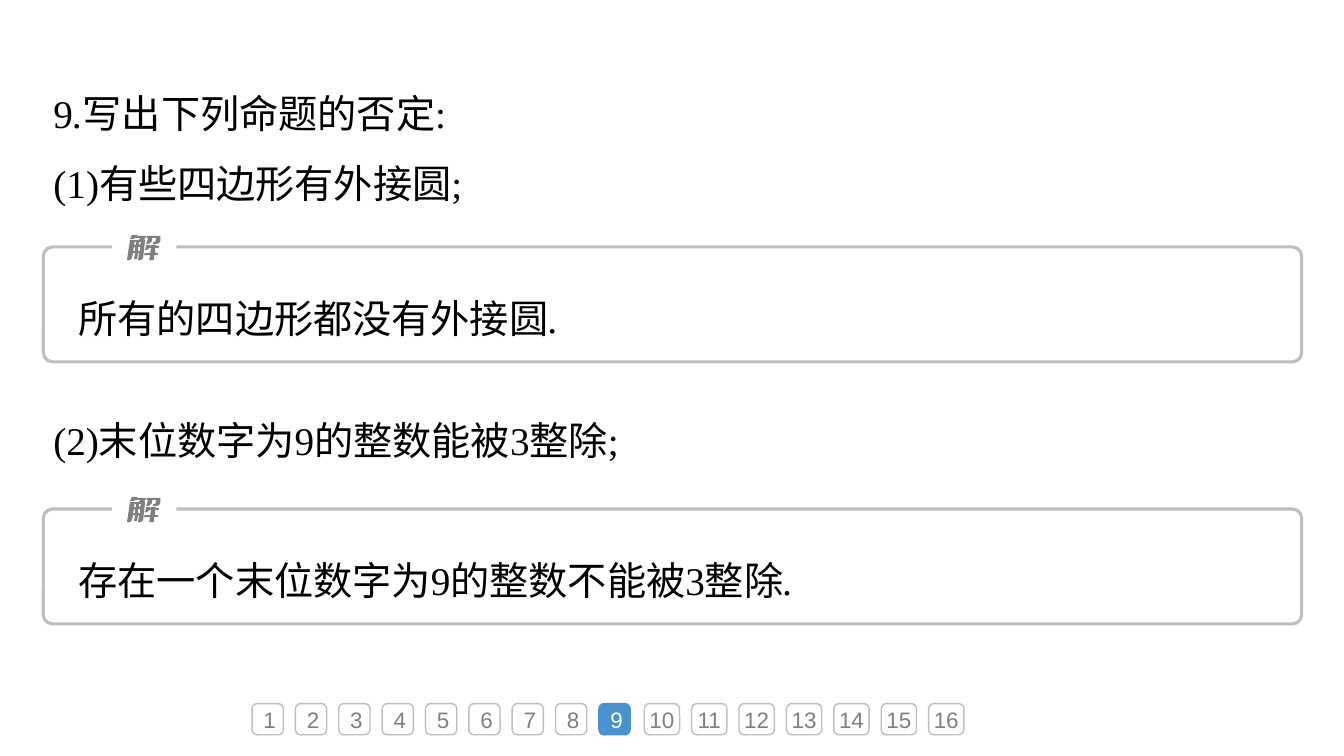
from dataclasses import dataclass

from pptx import Presentation
from pptx.dml.color import RGBColor
from pptx.enum.shapes import MSO_SHAPE
from pptx.enum.text import MSO_ANCHOR, MSO_AUTO_SIZE, PP_ALIGN
from pptx.util import Inches, Pt


@dataclass(frozen=True)
class Theme:
    ink: str = "000000"
    paper: str = "FFFFFF"
    border: str = "BFBFBF"
    muted: str = "808080"
    accent: str = "4893CF"
    body_font: str = "Times New Roman"
    number_font: str = "Arial"
    body_size: int = 28
    number_size: int = 16
    frame_width: float = 2.25
    button_width: float = 1


SOLUTION_GLYPH = [
    [(5, 0), (10, 0), (10, 1), (19, 1), (17, 5), (18, 5), (16, 23), (14, 25),
     (11, 25), (12, 18), (11, 18), (10, 24), (7, 24), (8, 18), (6, 18), (5, 23),
     (3, 25), (0, 25), (3, 5), (8, 5), (7, 10), (9, 10), (9, 7), (8, 7), (8, 5),
     (12, 5), (13, 3), (9, 3), (6, 4), (3, 4)],
    [(20, 1), (33, 1), (33, 6), (32, 8), (29, 9), (26, 9), (26, 7), (28, 7),
     (29, 3), (25, 3), (25, 6), (23, 8), (21, 9), (19, 9), (21, 3), (19, 3)],
    [(25, 10), (29, 10), (29, 11), (32, 11), (32, 12), (31, 13), (28, 13),
     (28, 18), (31, 18), (31, 19), (30, 20), (27, 20), (27, 24), (26, 25),
     (22, 25), (23, 20), (17, 20), (17, 19), (18, 18), (23, 18), (24, 13),
     (22, 13), (20, 15), (18, 15), (19, 10), (23, 10), (23, 11), (24, 11), (24, 10)],
    [(11, 12), (11, 16), (13, 16), (13, 12)],
    [(7, 12), (6, 16), (8, 16), (8, 12)],
    [(12, 7), (12, 10), (13, 10), (14, 7)],
]


def write_text(paragraph, text, *, font, size, color, italic=False):
    span = paragraph.add_run()
    span.text = text
    span.font.name = font
    span.font.size = Pt(size)
    span.font.color.rgb = RGBColor.from_string(color)
    span.font.italic = italic


class ExercisePage:
    def __init__(self, deck, theme):
        self.theme = theme
        self.page = deck.slides.add_slide(deck.slide_layouts[5])

    def paint(self, shape, *, fill=None, line=None, width=1):
        shape.shadow.inherit = False
        if fill:
            shape.fill.solid()
            shape.fill.fore_color.rgb = RGBColor.from_string(fill)
        else:
            shape.fill.background()
        if line:
            shape.line.color.rgb = RGBColor.from_string(line)
            shape.line.width = Pt(width)
        else:
            shape.line.fill.background()

    def fill_box(self, box, area, lines):
        box.left, box.top, box.width, box.height = map(Inches, area)
        frame = box.text_frame
        frame.word_wrap = True
        frame.auto_size = MSO_AUTO_SIZE.SHAPE_TO_FIT_TEXT
        frame.vertical_anchor = MSO_ANCHOR.TOP
        for index, spans in enumerate(lines):
            para = frame.add_paragraph() if index else frame.paragraphs[0]
            para.alignment = PP_ALIGN.LEFT
            para.line_spacing = 1.5
            for text in spans:
                write_text(para, text, font=self.theme.body_font,
                           size=self.theme.body_size, color=self.theme.ink,
                           italic=text == ".")

    def title(self, area, lines):
        self.fill_box(self.page.shapes.title, area, lines)

    def text(self, area, lines):
        box = self.page.shapes.add_textbox(*map(Inches, area))
        self.fill_box(box, area, lines)

    def glyph(self, shapes, left, top):
        first, *others = SOLUTION_GLYPH
        builder = shapes.build_freeform(*first[0], scale=Inches(0.01))
        builder.add_line_segments(first[1:], close=True)
        for contour in others:
            builder.move_to(*contour[0])
            builder.add_line_segments(contour[1:], close=True)
        self.paint(builder.convert_to_shape(Inches(left), Inches(top)),
                   fill=self.theme.muted)

    def solution(self, top, spans):
        shapes = self.page.shapes.add_group_shape().shapes
        frame = shapes.add_shape(MSO_SHAPE.ROUNDED_RECTANGLE, Inches(0.43),
                                 Inches(top), Inches(12.48), Inches(1.14))
        frame.adjustments[0] = 0.08
        self.paint(frame, line=self.theme.border, width=self.theme.frame_width)
        gap = shapes.add_shape(MSO_SHAPE.RECTANGLE, Inches(1.11),
                               Inches(top - 0.12), Inches(0.64), Inches(0.24))
        self.paint(gap, fill=self.theme.paper)
        self.glyph(shapes, 1.26, top - 0.12)
        self.text((0.68, top + 0.19, 12.05, 0.73), [spans])

    def page_button(self, number, current):
        theme = self.theme
        wide = number > 9
        left = 6.39 + 0.47 * (number - 10) if wide else 2.5 + 0.43 * (number - 1)
        button = self.page.shapes.add_shape(
            MSO_SHAPE.ROUNDED_RECTANGLE, Inches(left), Inches(6.98),
            Inches(0.35 if wide else 0.31), Inches(0.31))
        self.paint(button, fill=theme.accent if current else theme.paper,
                   line=theme.accent if current else theme.border,
                   width=theme.button_width)
        frame = button.text_frame
        frame.vertical_anchor = MSO_ANCHOR.MIDDLE
        if wide:
            frame.margin_left = frame.margin_right = 0
        para = frame.paragraphs[0]
        para.alignment = PP_ALIGN.CENTER
        write_text(para, str(number), font=theme.number_font, size=theme.number_size,
                   color=theme.paper if current else theme.muted)


def main():
    deck = Presentation()
    deck.slide_width, deck.slide_height = Inches(13.33), Inches(7.5)
    exercise = ExercisePage(deck, Theme())
    exercise.title((0.43, 0.6, 12.48, 1.51),
                   [["9", ".", "写出下列命题的否定:"], ["(1)有些四边形有外接圆;"]])
    for number in range(1, 17):
        exercise.page_button(number, current=number == 9)
    exercise.solution(2.45, ["所有的四边形都没有外接圆", "."])
    exercise.text((0.43, 3.85, 12.48, 0.81), [["(2)末位数字为9的整数能被3整除;"]])
    exercise.solution(5.05, ["存在一个末位数字为9的整数不能被3整除", "."])
    deck.save("out.pptx")


if __name__ == "__main__":
    main()
